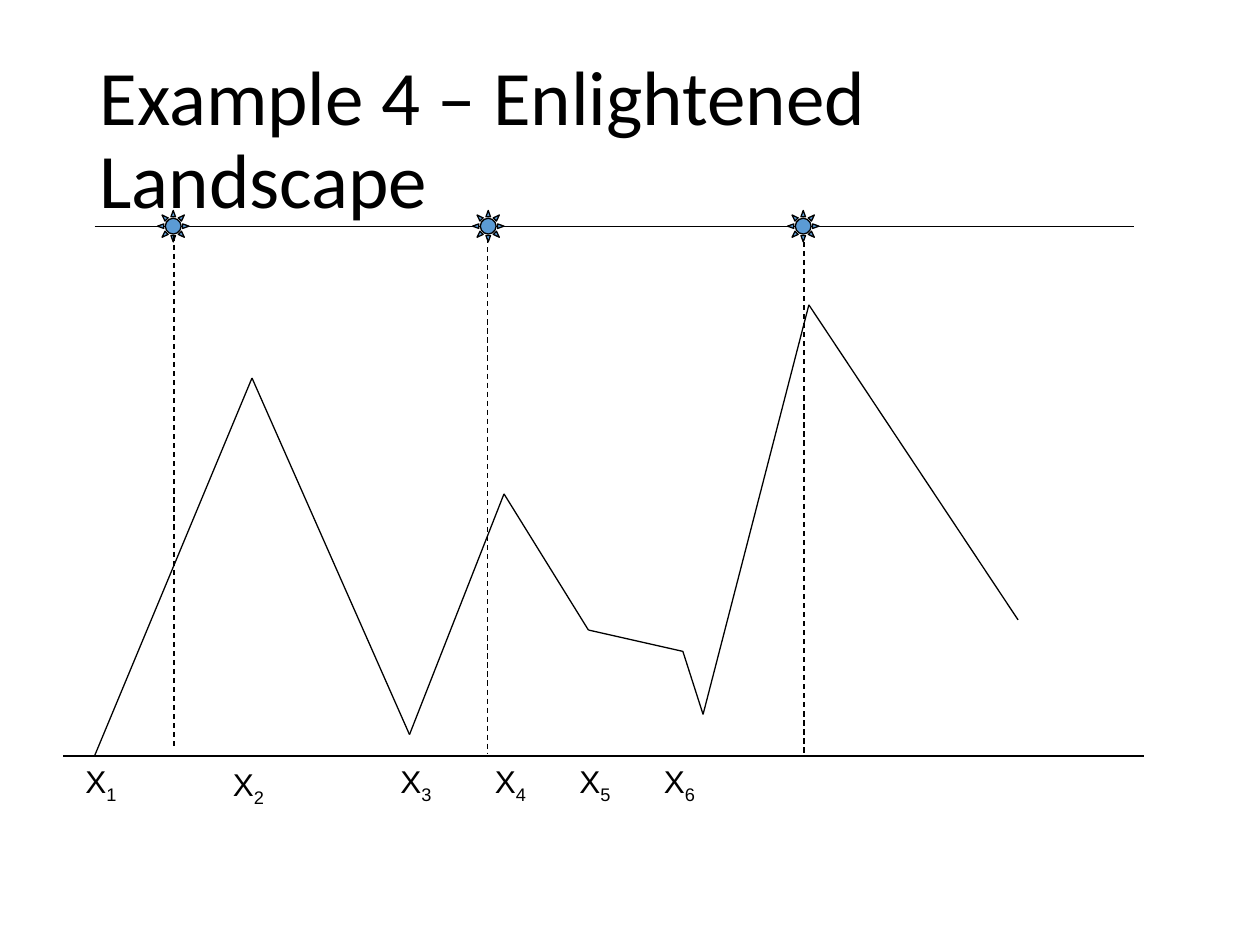
import itertools

import pptx
import pptx.dml.color
import pptx.enum.dml
import pptx.enum.shapes
import pptx.enum.text
import pptx.oxml.ns
import pptx.util
from pptx.util import Inches

BLACK = "000000"
SUN_BLUE = "5B9BD5"
LIGHT_XS = (1.38, 3.87, 6.38)
LIGHT_SPANS = ((1.87, 5.95), (1.89, 5.98), (1.92, 6))
SUN_SIZE = 0.25
RIDGE = ((0.75, 6), (2, 3), (3.25, 5.83), (4, 3.92), (4.67, 5),
         (5.42, 5.17), (5.58, 5.67), (6.42, 2.42), (8.08, 4.92))
LABELS = ((0.58, 6), (1.75, 6.02), (3.08, 6), (3.83, 6), (4.5, 6), (5.17, 6))


def rgb(hex_color):
    return pptx.dml.color.RGBColor.from_string(hex_color)


def set_font(r, name, size):
    r.font.name = name
    r.font.size = pptx.util.Pt(size)
    r.font.color.rgb = rgb(BLACK)


def set_line(line):
    line.color.rgb = rgb(BLACK)
    line.width = pptx.util.Pt(0.75)


def add_line(s, start, end, dashed=False):
    line = s.shapes.add_connector(
        pptx.enum.shapes.MSO_CONNECTOR.STRAIGHT,
        *(Inches(v) for v in (*start, *end)))
    set_line(line.line)
    if dashed:
        line.line.dash_style = pptx.enum.dml.MSO_LINE.DASH
    effects = pptx.oxml.ns.qn("a:effectLst")
    line._element.spPr.append(line._element.makeelement(effects))


def add_title(s, left, top, width, height):
    sp = s.shapes.title
    sp.left, sp.top = Inches(left), Inches(top)
    sp.width, sp.height = Inches(width), Inches(height)
    tf = sp.text_frame
    tf.text = "Example 4 – Enlightened Landscape"
    tf.auto_size = pptx.enum.text.MSO_AUTO_SIZE.NONE
    tf.vertical_anchor = pptx.enum.text.MSO_ANCHOR.MIDDLE
    p = tf.paragraphs[0]
    p.alignment = pptx.enum.text.PP_ALIGN.LEFT
    p.line_spacing = 0.9
    set_font(p.runs[0], "Calibri", 44)


def add_sun(s, left, top, size):
    sp = s.shapes.add_shape(pptx.enum.shapes.MSO_SHAPE.SUN, Inches(left),
                            Inches(top), Inches(size), Inches(size))
    sp.shadow.inherit = False
    sp.fill.solid()
    sp.fill.fore_color.rgb = rgb(SUN_BLUE)
    set_line(sp.line)


def add_lights(s, left, top, width):
    """Horizontal rail with suns on it and a dashed beam below each sun."""
    add_line(s, (left, top), (left + width, top))
    for i in range(len(LIGHT_XS)):
        add_sun(s, left + 0.5 + 2.5 * i, top - 0.13, SUN_SIZE)
    for x, (start, end) in zip(LIGHT_XS, LIGHT_SPANS):
        add_line(s, (x, start), (x, end), dashed=True)


def add_landscape(s, left, base, width):
    add_line(s, (left, base), (left + width, base))
    for start, end in itertools.pairwise(RIDGE):
        add_line(s, start, end)


def add_label(s, number, left, top, width, height):
    sp = s.shapes.add_textbox(Inches(left), Inches(top),
                              Inches(width), Inches(height))
    tf = sp.text_frame
    tf.word_wrap = True
    tf.auto_size = pptx.enum.text.MSO_AUTO_SIZE.SHAPE_TO_FIT_TEXT
    p = tf.paragraphs[0]
    for text in ("X", str(number)):
        r = p.add_run()
        r.text = text
        set_font(r, "Arial", 18)
    r._r.get_or_add_rPr().set("baseline", "-25000")


def main():
    prs = pptx.Presentation()
    prs.slide_width, prs.slide_height = Inches(10), Inches(7.5)
    s = prs.slides.add_slide(prs.slide_layouts.get_by_name("Title Only"))
    add_title(s, 0.69, 0.4, 8.62, 1.45)
    add_lights(s, 0.75, 1.8, 8.25)
    add_landscape(s, 0.5, 6, 8.58)
    for number, (left, top) in enumerate(LABELS, 1):
        add_label(s, number, left, top, 0.5, 0.4)
    prs.save("out.pptx")


if __name__ == "__main__":
    main()
